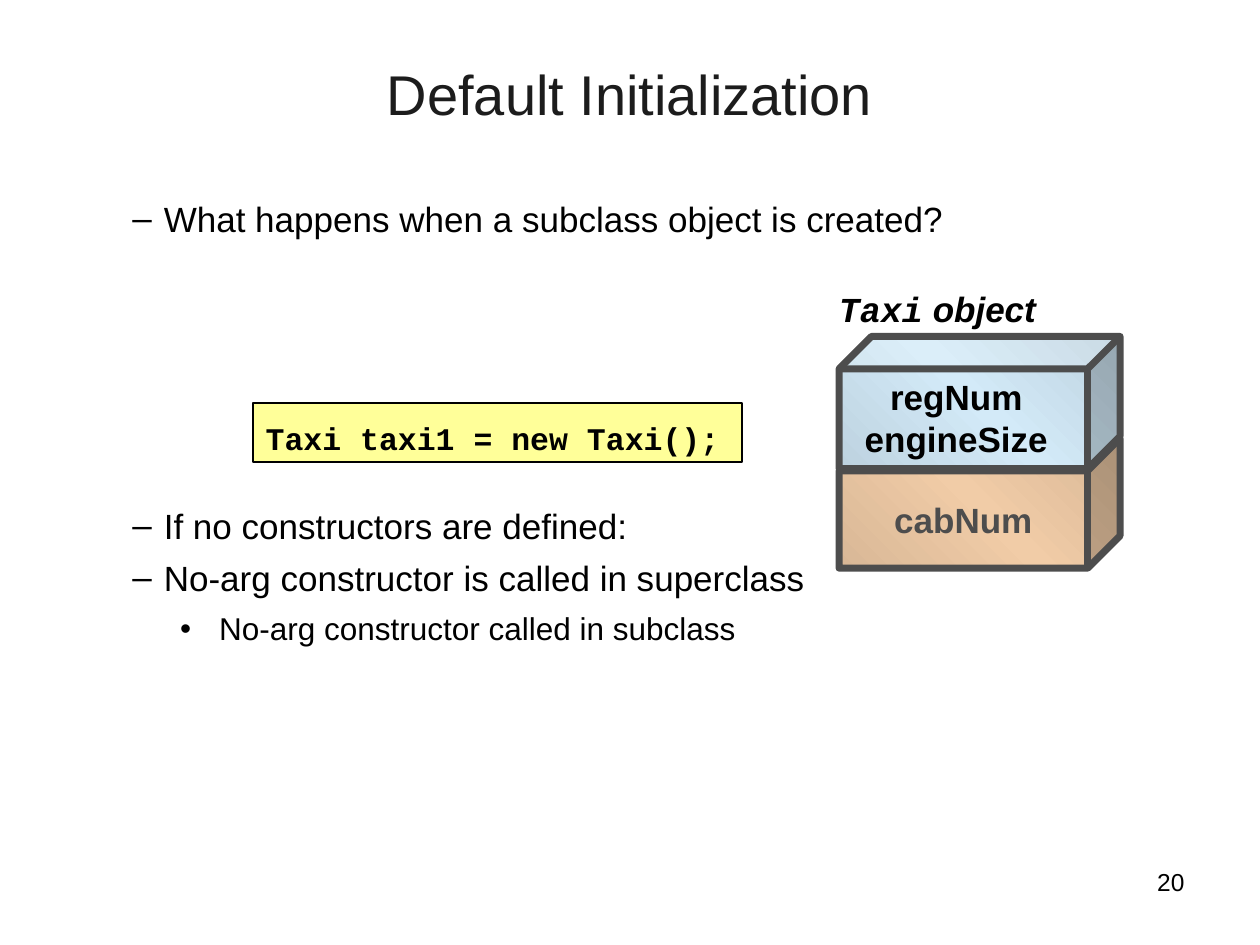
import copy
import pptx
import pptx.util
import pptx.dml.color
import pptx.enum.shapes
import pptx.enum.text
import pptx.oxml
import pptx.oxml.ns

Inches = pptx.util.Inches
Pt = pptx.util.Pt
Align = pptx.enum.text.PP_ALIGN
Anchor = pptx.enum.text.MSO_ANCHOR
Preset = pptx.enum.shapes.MSO_SHAPE

COLORS = {
    "black": "000000", "title": "1C1C1C", "edge": "4D4D4D", "code": "FFFF99",
    "brown": "D8B796", "brown_light": "F1CCA7",
    "blue": "BDD2DF", "blue_light": "D3EAF8",
}
TITLE = "Default Initialization"
BULLETS = [
    ("What happens when a subclass object is created?", 1, 5),
    ("If no constructors are defined:", 1, 150),
    ("No-arg constructor is called in superclass", 1, 5),
    ("No-arg constructor called in subclass", 2, 5),
]
LEVELS = {1: (0.37, -0.25, "–", 20), 2: (0.81, -0.31, "•", 18)}
CUBES = [
    ("cabNum", 3.48, 1.03, 0.25, "brown"),
    ("", 2.67, 1.05, 0.245, "blue"),
]
LABELS = [
    (["20"], (7.17, 6.83, 2.33, 0.52), 14, False, Align.RIGHT),
    (["regNum", "engineSize"], (6.72, 2.93, 1.74, 0.76), 20, True, Align.CENTER),
]
OBJECT_LABEL = [("Taxi", "Courier New"), (" object", "Arial")]
CODE = "Taxi taxi1 = new Taxi();"


def rgb(name):
    return pptx.dml.color.RGBColor.from_string(COLORS[name])


def place(shape, box):
    shape.left, shape.top, shape.width, shape.height = map(Inches, box)


def style(run, size, color="black", font="Arial", bold=False, italic=False):
    run.font.name = font
    run.font.size = Pt(size)
    run.font.bold = bold
    run.font.italic = italic
    run.font.color.rgb = rgb(color)


def prepare(text_frame, anchor=Anchor.TOP, wrap=True):
    text_frame.word_wrap = wrap
    text_frame.auto_size = pptx.enum.text.MSO_AUTO_SIZE.NONE
    text_frame.vertical_anchor = anchor


def add_text(box):
    shape = slide.shapes.add_textbox(*map(Inches, box))
    prepare(shape.text_frame)
    return shape.text_frame


def add_box(preset, box, line_color, line_width):
    shape = slide.shapes.add_shape(preset, *map(Inches, box))
    shape.shadow.inherit = False
    shape.line.color.rgb = rgb(line_color)
    shape.line.width = Pt(line_width)
    return shape


def fill_gradient(shape, color):
    shape.fill.gradient()
    shape.fill.gradient_angle = 45
    stops = shape.fill._fill._gradFill.find(pptx.oxml.ns.qn("a:gsLst"))
    stops.append(copy.deepcopy(stops[0]))
    names = (color, color + "_light", color)
    for index, (stop, name) in enumerate(zip(shape.fill.gradient_stops, names)):
        stop.position = index / 2
        stop.color.rgb = rgb(name)


def set_bullet(paragraph, margin, indent, character):
    properties = paragraph._p.get_or_add_pPr()
    properties.set("marL", str(Inches(margin)))
    properties.set("indent", str(Inches(indent)))
    namespace = pptx.oxml.ns.nsdecls("a")
    properties.append(pptx.oxml.parse_xml(f'<a:buFont {namespace} typeface="Arial"/>'))
    properties.append(pptx.oxml.parse_xml(f'<a:buChar {namespace} char="{character}"/>'))


presentation = pptx.Presentation()
presentation.slide_width = Inches(10)
presentation.slide_height = Inches(7.5)
slide = presentation.slides.add_slide(presentation.slide_layouts[1])

title = slide.shapes.title
place(title, (0.75, 0.42, 8.5, 1.25))
title.text_frame.text = TITLE
prepare(title.text_frame)
title.text_frame.paragraphs[0].alignment = Align.CENTER
style(title.text_frame.paragraphs[0].runs[0], 32, "title")

body = slide.placeholders[1]
place(body, (0.83, 1.5, 8.24, 3.62))
body.text_frame.text = "\n".join(text for text, level, space in BULLETS)
prepare(body.text_frame)
for paragraph, (text, level, space) in zip(body.text_frame.paragraphs, BULLETS):
    margin, indent, character, size = LEVELS[level]
    paragraph.level = level
    paragraph.line_spacing = 1.05
    paragraph.space_before = Pt(space)
    set_bullet(paragraph, margin, indent, character)
    style(paragraph.runs[0], size)

for text, top, height, depth, color in CUBES:
    cube = add_box(Preset.CUBE, (6.66, top, 2.23, height), "edge", 4)
    cube.adjustments[0] = depth
    fill_gradient(cube, color)
    if text:
        cube.text_frame.text = text
        prepare(cube.text_frame, Anchor.MIDDLE, False)
        cube.text_frame.paragraphs[0].alignment = Align.CENTER
        style(cube.text_frame.paragraphs[0].runs[0], 20, "edge", bold=True)

for lines, box, size, bold, alignment in LABELS:
    text_frame = add_text(box)
    text_frame.text = "\n".join(lines)
    for paragraph in text_frame.paragraphs:
        paragraph.alignment = alignment
        style(paragraph.runs[0], size, bold=bold)

paragraph = add_text((6.56, 2.26, 2.04, 0.42)).paragraphs[0]
paragraph.line_spacing = 0.95
for text, font in OBJECT_LABEL:
    run = paragraph.add_run()
    run.text = text
    style(run, 20, font=font, bold=True, italic=True)

code = add_box(Preset.RECTANGLE, (2.01, 3.2, 3.88, 0.47), "black", 1)
code.fill.solid()
code.fill.fore_color.rgb = rgb("code")
code.text_frame.text = CODE
prepare(code.text_frame)
paragraph = code.text_frame.paragraphs[0]
paragraph.alignment = Align.LEFT
paragraph.line_spacing = 1.25
style(paragraph.runs[0], 18, font="Courier New", bold=True)

presentation.save("out.pptx")
